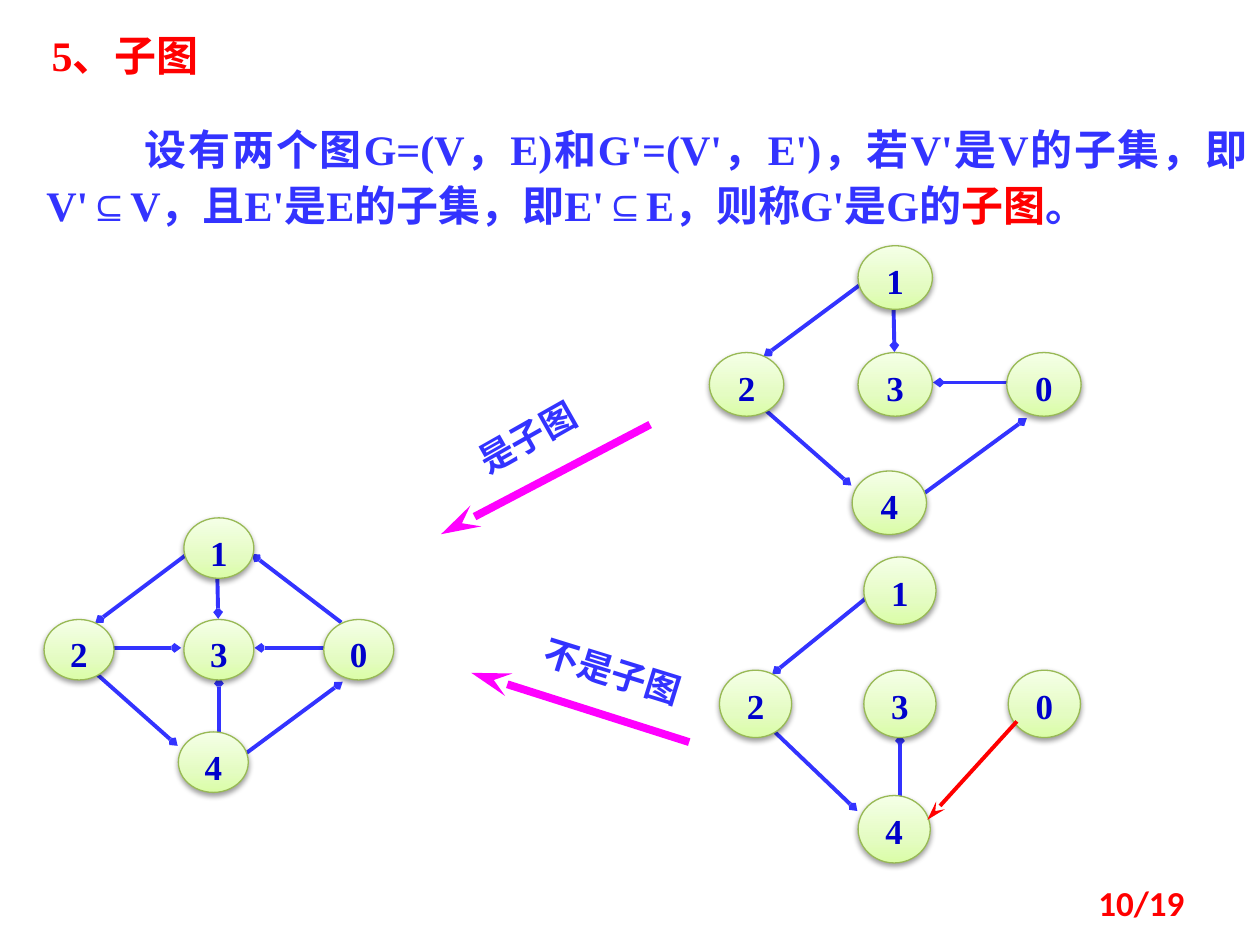
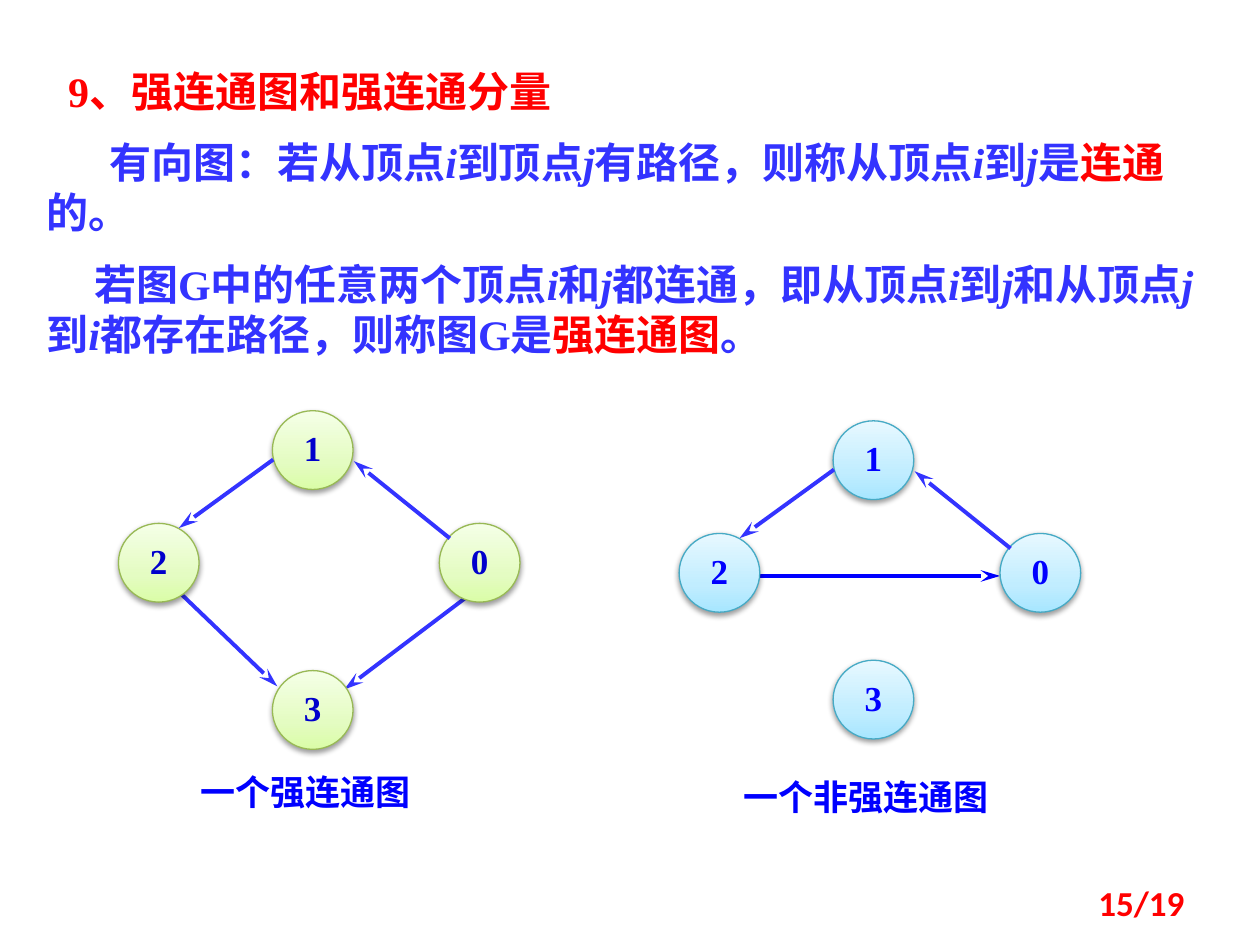
from pptx import Presentation
from pptx.dml.color import RGBColor
from pptx.enum.shapes import MSO_CONNECTOR, MSO_SHAPE
from pptx.enum.text import MSO_ANCHOR, MSO_AUTO_SIZE, PP_ALIGN
from pptx.oxml import parse_xml
from pptx.oxml.ns import nsdecls, qn
from pptx.util import Inches, Pt

COLORS = {
    "red": "FF0000", "text": "3333FF", "magenta": "FF00FF",
    "navy": "0000CC", "blue": "0000FF",
}
THEMES = {
    "green": {"stops": ("DAFDA7", "E4FCC2", "F5FFE7"), "line": "98B955", "label": "navy"},
    "cyan": {"stops": ("A7E6FF", "C1EDFF", "E7F8FF"), "line": "46AAC5", "label": "blue"},
}
SERIF, SANS, NUMBER = "Times New Roman", "Noto Sans CJK SC", "Calibri"
LINE, CAPTION_LINE = Pt(28.6), Pt(23.8)
HEADS = {"stealth": ("med", "lg"), "arrow": ("sm", "sm")}

FIVE_NODES = {"1": (2, 0), "3": (2, 1.68), "0": (4, 1.68), "2": (0, 1.68), "4": (1.92, 3.54)}
FIVE_EDGES = {
    "1-3": (2.47, 0.54, 2.49, 1.67),
    "4-3": (2.5, 3.63, 2.5, 2.63),
    "0-3": (4, 2.15, 3.01, 2.15),
    "2-3": (0.97, 2.15, 1.96, 2.15),
    "2-4": (0.75, 2.58, 1.91, 3.77),
    "4-0": (2.88, 3.9, 4.27, 2.71),
    "0-1": (4.25, 1.73, 2.97, 0.6),
    "1-2": (2.09, 0.56, 0.73, 1.74),
    "0-4": (4.12, 2.44, 2.88, 3.9),
}
FOUR_NODES = {"1": (1.91, 0), "0": (3.98, 1.43), "2": (0, 1.43), "3": (1.91, 3.3)}
FOUR_EDGES = {
    "2-3": (0.75, 2.3, 1.97, 3.5),
    "0-3": (4.3, 2.38, 2.8, 3.54),
    "2-0": (1, 1.97, 3.98, 1.97),
    "1-2": (1.92, 0.62, 0.75, 1.49),
    "0-1": (4.11, 1.62, 2.92, 0.64),
}


def rgb(name):
    return RGBColor.from_string(COLORS.get(name, name))


def add_run(p, text, size=24, color="text", font=SERIF, bold=True, italic=False):
    r = p.add_run()
    r.text = text
    r.font.size, r.font.name = Pt(size), font
    r.font.bold, r.font.italic = bold, italic
    r.font.color.rgb = rgb(color)
    r.font._element.find(qn("a:latin")).addnext(
        parse_xml(f'<a:ea {nsdecls("a")} typeface="{SANS}"/>'))


def add_rich_text(p, text, **fmt):
    for i, part in enumerate(text.split("|")):
        for j, piece in enumerate(part.split("_")):
            if piece:
                color = {"color": "red"} if i % 2 else {}
                add_run(p, piece, italic=j % 2 == 1, **{**fmt, **color})


class Deck:
    def __init__(self):
        self.prs = Presentation()
        self.prs.slide_width, self.prs.slide_height = Inches(10), Inches(7.5)

    def slide(self, title, box, number):
        self.s = self.prs.slides.add_slide(self.prs.slide_layouts[5])
        sp = self.s.shapes.title
        sp.left, sp.top, sp.width, sp.height = map(Inches, box)
        tf = sp.text_frame
        tf.auto_size, tf.vertical_anchor = MSO_AUTO_SIZE.NONE, MSO_ANCHOR.TOP
        p = tf.paragraphs[0]
        p.alignment, p.line_spacing = PP_ALIGN.LEFT, LINE
        add_run(p, title, color="red")
        self.text((7.17, 6.96, 2.33, 0.4), [number], align=PP_ALIGN.RIGHT,
                  anchor=MSO_ANCHOR.MIDDLE, size=20, color="red", font=NUMBER)

    def text(self, box, paragraphs, align=PP_ALIGN.LEFT, anchor=MSO_ANCHOR.TOP,
             indents=(0,), spacing=None, inset=None, rotation=0, **fmt):
        sp = self.s.shapes.add_textbox(*map(Inches, box))
        sp.rotation = rotation
        tf = sp.text_frame
        tf.word_wrap, tf.vertical_anchor = True, anchor
        if inset is not None:
            tf.margin_left = tf.margin_top = tf.margin_right = tf.margin_bottom = Inches(inset)
        for i, (text, indent) in enumerate(zip(paragraphs, indents)):
            p = tf.add_paragraph() if i else tf.paragraphs[0]
            p.alignment, p.line_spacing = align, spacing
            if i:
                p.space_before = Pt(12.5)
            pPr = p._p.get_or_add_pPr()
            pPr.set("hangingPunct", "0")
            pPr.set("indent", str(Inches(indent)))
            add_rich_text(p, text, **fmt)

    def arrow(self, x1, y1, x2, y2, color="text", width=2.25, head="stealth"):
        c = self.s.shapes.add_connector(MSO_CONNECTOR.STRAIGHT, *map(Inches, (x1, y1, x2, y2)))
        c.line.color.rgb, c.line.width = rgb(color), Pt(width)
        head_width, head_length = HEADS[head]
        c.line._get_or_add_ln().append(parse_xml(
            f'<a:tailEnd {nsdecls("a")} type="{head}" w="{head_width}" len="{head_length}"/>'))
        c._element.spPr.append(parse_xml(f'<a:effectLst {nsdecls("a")}/>'))

    def node(self, label, box, theme):
        style = THEMES[theme]
        sp = self.s.shapes.add_shape(MSO_SHAPE.OVAL, *map(Inches, box))
        sp.line.color.rgb, sp.line.width = rgb(style["line"]), Pt(0.75)
        stops = "".join(f'<a:gs pos="{pos}000"><a:srgbClr val="{color}"/></a:gs>'
                        for pos, color in zip((0, 35, 100), style["stops"]))
        spPr = sp._element.spPr
        spPr.find(qn("a:prstGeom")).addnext(parse_xml(
            f'<a:gradFill {nsdecls("a")} rotWithShape="1"><a:gsLst>{stops}</a:gsLst>'
            '<a:lin ang="16200000" scaled="0"/></a:gradFill>'))
        spPr.append(parse_xml(
            f'<a:effectLst {nsdecls("a")}><a:outerShdw blurRad="40000" dist="20000" '
            'dir="5400000" rotWithShape="0"><a:srgbClr val="000000">'
            '<a:alpha val="38000"/></a:srgbClr></a:outerShdw></a:effectLst>'))
        tf = sp.text_frame
        tf.vertical_anchor = MSO_ANCHOR.TOP
        tf.margin_left = tf.margin_right = tf.margin_bottom = 0
        tf.margin_top = Inches(0.12)
        p = tf.paragraphs[0]
        p.alignment, p.line_spacing = PP_ALIGN.CENTER, 0.72
        add_run(p, label, size=20, color=style["label"])

    def graph(self, origin, size, nodes, edges, below, above="", theme="green",
              head="stealth", above_color="text", below_color="text"):
        (x, y), (w, h) = origin, size

        def draw_edges(names, color, head):
            for name in names.split():
                x1, y1, x2, y2 = edges[name]
                self.arrow(x + x1 * w, y + y1 * h, x + x2 * w, y + y2 * h,
                           color=color, head=head)

        draw_edges(below, below_color, head)
        for label, (column, row) in nodes.items():
            self.node(label, (x + column * w, y + row * h, w, h), theme)
        draw_edges(above, above_color, "stealth")


def subgraph_slide(deck):
    deck.slide("5、子图", (0.31, 0.19, 2.27, 0.5), "10/19")
    deck.text((0.27, 0.89, 9.73, 1.5),
              ["设有两个图G=(V，E)和G'=(V'，E')，若V'是V的子集，即V'⊆V，"
               "且E'是E的子集，即E'⊆E，则称G'是G的|子图|。"],
              align=PP_ALIGN.JUSTIFY, indents=(0.78,), spacing=Pt(32))
    for origin, size, below, above in (
        ((0.35, 4.11), (0.555, 0.48), "1-3 4-3 0-3 2-3 2-4 4-0 0-1 1-2", ""),
        ((5.63, 1.95), (0.59, 0.505), "1-3 0-3 2-4 4-0 1-2", ""),
        ((5.71, 4.42), (0.573, 0.535), "4-3 2-4 1-2", "0-4"),
    ):
        deck.graph(origin, size, FIVE_NODES, FIVE_EDGES, below, above,
                   head="arrow", above_color="red")
    for line, label, box, rotation in (
        ((5.16, 3.37, 3.5, 4.24), "是子图", (3.36, 3.3, 1.65, 0.34), 330.4),
        ((5.47, 5.89, 3.74, 5.34), "不是子图", (4.04, 5.16, 1.65, 0.34), 17.2),
    ):
        deck.arrow(*line, color="magenta", width=4.5)
        deck.text(box, [label], align=PP_ALIGN.CENTER, inset=0, rotation=rotation,
                  size=20, font=SANS)


def strong_connectivity_slide(deck):
    deck.slide("9、强连通图和强连通分量", (0.44, 0.47, 9.17, 0.5), "15/19")
    deck.text((0.27, 1.04, 9.3, 1.95),
              ["有向图：若从顶点_i_到顶点_j_有路径，则称从顶点_i_到_j_是|连通|的。",
               "若图G中的任意两个顶点_i_和_j_都连通，即从顶点_i_到_j_和从顶点_j_到_i_"
               "都存在路径，则称图G是|强连通图|。"],
              indents=(0.5, 0.38), spacing=LINE)
    size = (0.64, 0.625)
    deck.graph((0.94, 3.26), size, FOUR_NODES, FOUR_EDGES, "2-3 0-3", "1-2 0-1")
    deck.graph((5.39, 3.34), size, {**FOUR_NODES, "3": (1.91, 3.04)}, FOUR_EDGES,
               "2-0", "1-2 0-1", theme="cyan", below_color="blue")
    for x, y, caption in ((1.33, 6.07, "一个强连通图"), (5.78, 6.11, "一个非强连通图")):
        deck.text((x, y, 2.19, 0.44), [caption], align=PP_ALIGN.CENTER,
                  spacing=CAPTION_LINE, size=20, color="blue")


def main():
    deck = Deck()
    subgraph_slide(deck)
    strong_connectivity_slide(deck)
    deck.prs.save("out.pptx")


if __name__ == "__main__":
    main()
